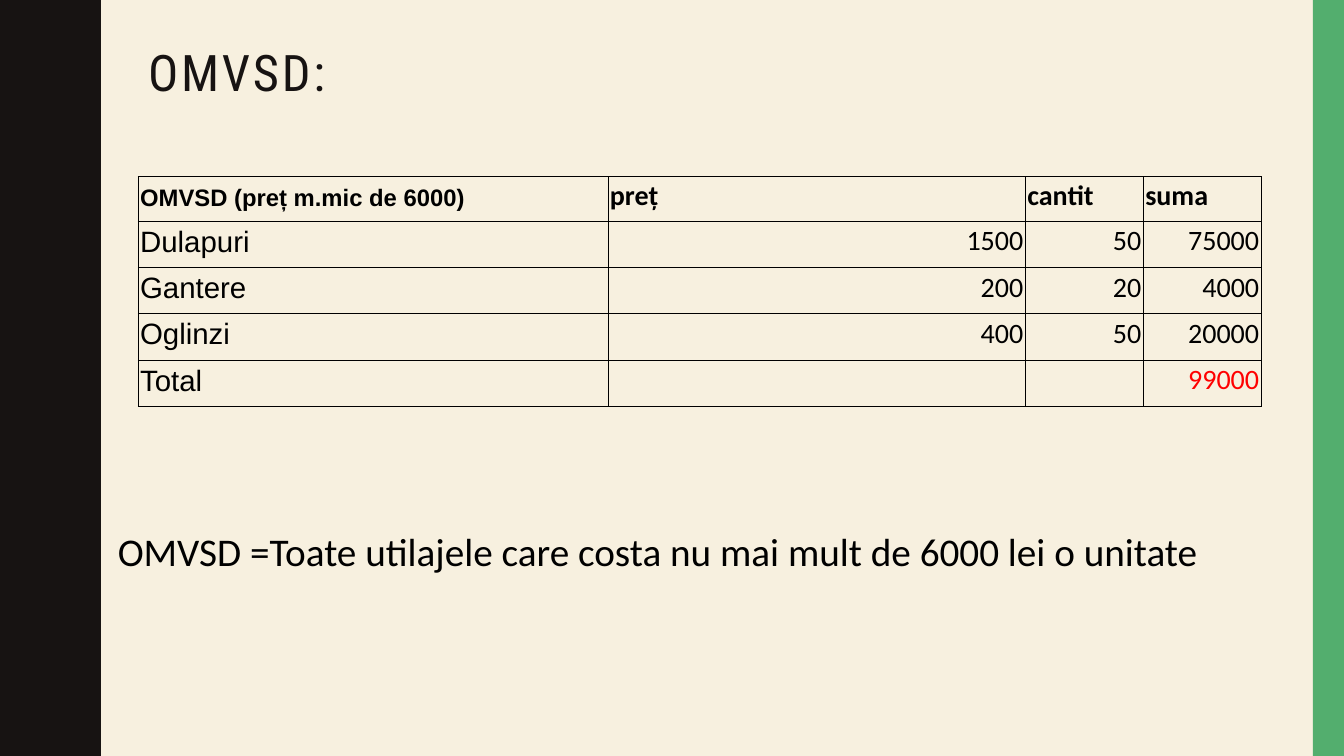
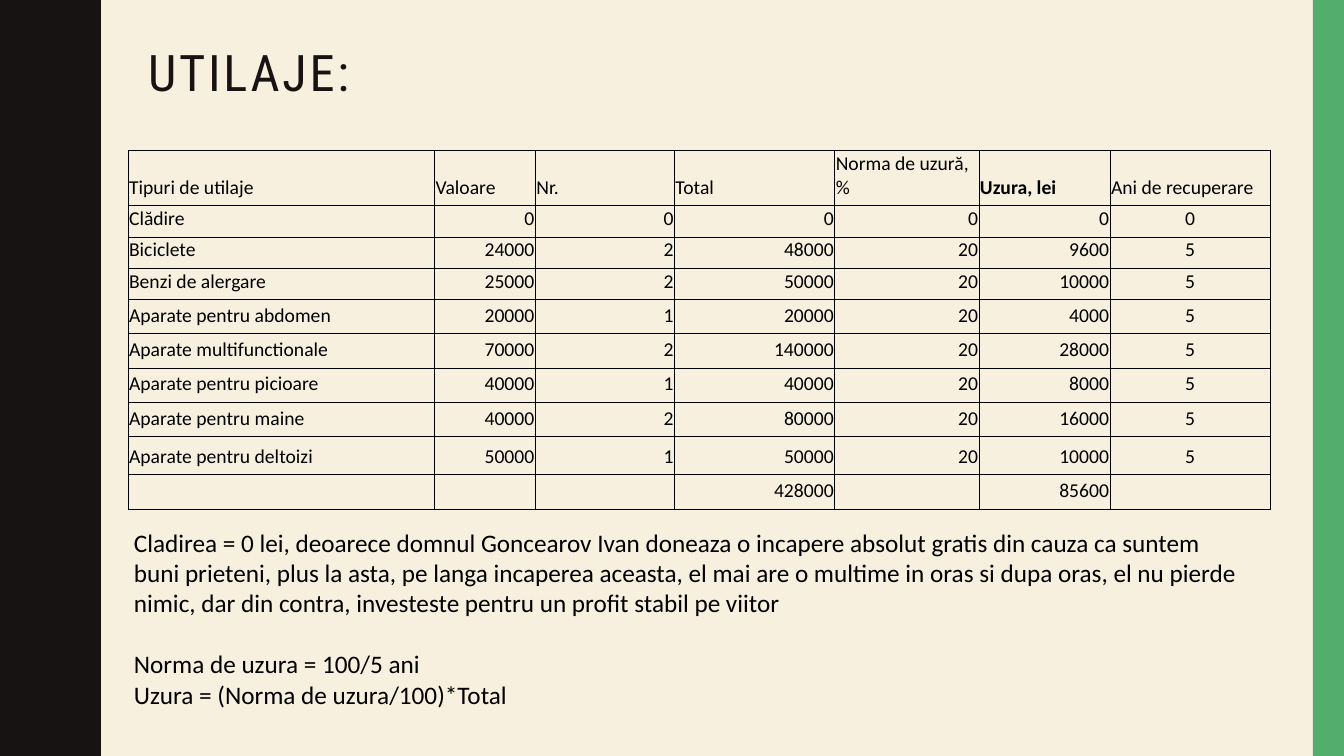
from pptx import Presentation
from pptx.dml.color import RGBColor
from pptx.enum.shapes import MSO_SHAPE
from pptx.enum.text import MSO_ANCHOR, MSO_AUTO_SIZE, PP_ALIGN
from pptx.oxml import parse_xml
from pptx.oxml.ns import nsdecls
from pptx.util import Inches, Pt

CREAM = RGBColor(0xF7, 0xF0, 0xDF)
INK = RGBColor(0x17, 0x13, 0x12)
GREEN = RGBColor(0x53, 0xAE, 0x6E)
BLACK = RGBColor(0x00, 0x00, 0x00)
RED = RGBColor(0xFF, 0x00, 0x00)
BODY, LABEL, HEAD = "Calibri", "Arial", "Roboto Condensed"
WIDE, HIGH = 13.33, 7.5

# One crest of the wavy edge: x and y down to its tip, then mirrored
WAVE = 1.5
RISE = [(0.78, 0), (0.78, 0.07), (0.79, 0.14), (0.8, 0.2), (0.81, 0.25),
        (0.83, 0.29), (0.85, 0.33), (0.87, 0.38), (0.89, 0.42), (0.91, 0.46),
        (0.93, 0.5), (0.95, 0.55), (0.96, 0.61), (0.97, 0.68), (0.97, 0.75)]
CREST = RISE + [(x, WAVE - y) for x, y in reversed(RISE[:-1])]
EDGE = [(x, y + WAVE * i) for i in range(5) for x, y in CREST]

SHEETS = [
    {
        "title": "OMVSD:",
        "at": (1.37, 1.75),
        "cols": [4.66, 4.14, 1.17, 1.17],
        "rows": [0.43] + [0.46] * 4,
        "pad": (0.02, 0.09),
        "size": 20,
        "bold": {0, 1, 2, 3},
        "center": set(),
        "cells": [
            ["OMVSD (preț m.mic de 6000)", "preț", "cantit", "suma"],
            ["Dulapuri", "1500", "50", "75000"],
            ["Gantere", "200", "20", "4000"],
            ["Oglinzi", "400", "50", "20000"],
            ["Total", "", "", "99000"],
        ],
        "note": (1.07, 5.18, 11.2, 0.57),
        "wrap": False,
        "text": ["OMVSD =Toate utilajele care costa nu mai mult de 6000 lei o unitate"],
        "big": 28,
    },
    {
        "title": "UTILAJE:",
        "at": (1.27, 1.49),
        "cols": [3.04, 1, 1.38, 1.59, 1.43, 1.3, 1.59],
        "rows": [0.55] + [0.31] * 3 + [0.34] * 4 + [0.38, 0.34],
        "pad": (0.01, 0.06),
        "size": 14,
        "bold": {5},
        "center": {6},
        "cells": [
            ["Tipuri de utilaje", "Valoare", "Nr.", "Total", "Norma de uzură, %",
             "Uzura, lei", "Ani de recuperare"],
            ["Clădire", "0", "0", "0", "0", "0", "0"],
            ["Biciclete", "24000", "2", "48000", "20", "9600", "5"],
            ["Benzi de alergare", "25000", "2", "50000", "20", "10000", "5"],
            ["Aparate pentru abdomen", "20000", "1", "20000", "20", "4000", "5"],
            ["Aparate multifunctionale", "70000", "2", "140000", "20", "28000", "5"],
            ["Aparate pentru picioare", "40000", "1", "40000", "20", "8000", "5"],
            ["Aparate pentru maine", "40000", "2", "80000", "20", "16000", "5"],
            ["Aparate pentru deltoizi", "50000", "1", "50000", "20", "10000", "5"],
            ["", "", "", "428000", "", "85600", ""],
        ],
        "note": (1.23, 5.18, 11.23, 1.92),
        "wrap": True,
        "text": [
            "Cladirea = 0 lei, deoarece domnul Goncearov Ivan doneaza o incapere "
            "absolut gratis din cauza ca suntem buni prieteni, plus la asta, pe langa "
            "incaperea aceasta, el mai are o multime in oras si dupa oras, el nu pierde "
            "nimic, dar din contra, investeste pentru un profit stabil pe viitor",
            "Norma de uzura = 100/5 ani",
            "Uzura = (Norma de uzura/100)*Total",
        ],
        "big": 18,
    },
]


def style(para, size, face=BODY, color=BLACK, bold=False):
    for run in para.runs:
        font = run.font
        font.size, font.name, font.bold = Pt(size), face, bold
        font.color.rgb = color


def frame(cell):
    """Give a table cell thin black borders and no fill."""
    props = cell._tc.get_or_add_tcPr()
    for side in ("lnL", "lnR", "lnT", "lnB"):
        props.append(parse_xml(
            f'<a:{side} {nsdecls("a")} w="{Pt(0.5)}"><a:solidFill>'
            f'<a:srgbClr val="{BLACK}"/></a:solidFill></a:{side}>'))
    cell.fill.background()


deck = Presentation()
deck.slide_width, deck.slide_height = Inches(WIDE), Inches(HIGH)
back = deck.slide_master.background.fill
back.solid()
back.fore_color.rgb = CREAM

for sheet in SHEETS:
    slide = deck.slides.add_slide(deck.slide_layouts[6])
    shapes = slide.shapes

    # Side bands
    pen = shapes.build_freeform(0, 0, scale=Inches(1))
    pen.add_line_segments(EDGE + [(0, HIGH)], close=True)
    band = shapes.add_shape(MSO_SHAPE.RECTANGLE, Inches(13.02), 0,
                            Inches(0.31), Inches(HIGH))
    for side, color in ((pen.convert_to_shape(), INK), (band, GREEN)):
        side.shadow.inherit = False
        side.fill.solid()
        side.fill.fore_color.rgb = color
        side.line.fill.background()

    # Title
    title = shapes.add_textbox(Inches(1.37), Inches(0.42), Inches(11.13), Inches(0.65))
    title.text_frame.word_wrap = True
    title.text_frame.vertical_anchor = MSO_ANCHOR.MIDDLE
    title.text_frame.text = sheet["title"]
    para = title.text_frame.paragraphs[0]
    para.line_spacing = 0.9
    style(para, 36, HEAD, INK)
    para.runs[0].font._element.set("spc", "200")

    # Table
    cols, rows = sheet["cols"], sheet["rows"]
    left, top = sheet["at"]
    table = shapes.add_table(len(rows), len(cols), Inches(left), Inches(top),
                             Inches(sum(cols)), Inches(sum(rows))).table
    table.first_row = table.horz_banding = False
    for col, width in zip(table.columns, cols):
        col.width = Inches(width)
    for row, height in zip(table.rows, rows):
        row.height = Inches(height)
    pad, foot = sheet["pad"]
    for r, line in enumerate(sheet["cells"]):
        for c, text in enumerate(line):
            cell = table.cell(r, c)
            frame(cell)
            cell.margin_left = cell.margin_right = cell.margin_top = Inches(pad)
            cell.margin_bottom = Inches(foot)
            cell.vertical_anchor = MSO_ANCHOR.BOTTOM
            para = cell.text_frame.paragraphs[0]
            if not text:
                # Keeps an empty cell from stretching its row
                para._p.append(parse_xml(
                    f'<a:endParaRPr {nsdecls("a")} sz="{sheet["size"] * 100}"/>'))
                continue
            para.text = text
            if r and c:
                para.alignment = (PP_ALIGN.CENTER if c in sheet["center"]
                                  else PP_ALIGN.RIGHT)
            size, face = sheet["size"], BODY
            if sheet["title"] == "OMVSD:" and c == 0:
                size, face = (21 if r else 17), LABEL
            color = RED if text == "99000" else BLACK
            style(para, size, face, color, r == 0 and c in sheet["bold"])

    # Note under the table
    note = shapes.add_textbox(*map(Inches, sheet["note"])).text_frame
    note.word_wrap = sheet["wrap"]
    note.auto_size = MSO_AUTO_SIZE.SHAPE_TO_FIT_TEXT
    note.text = "\n".join(sheet["text"])
    for i, para in enumerate(note.paragraphs):
        style(para, sheet["big"])
        if i == 1:
            para.space_before = Pt(22)

deck.save("out.pptx")
